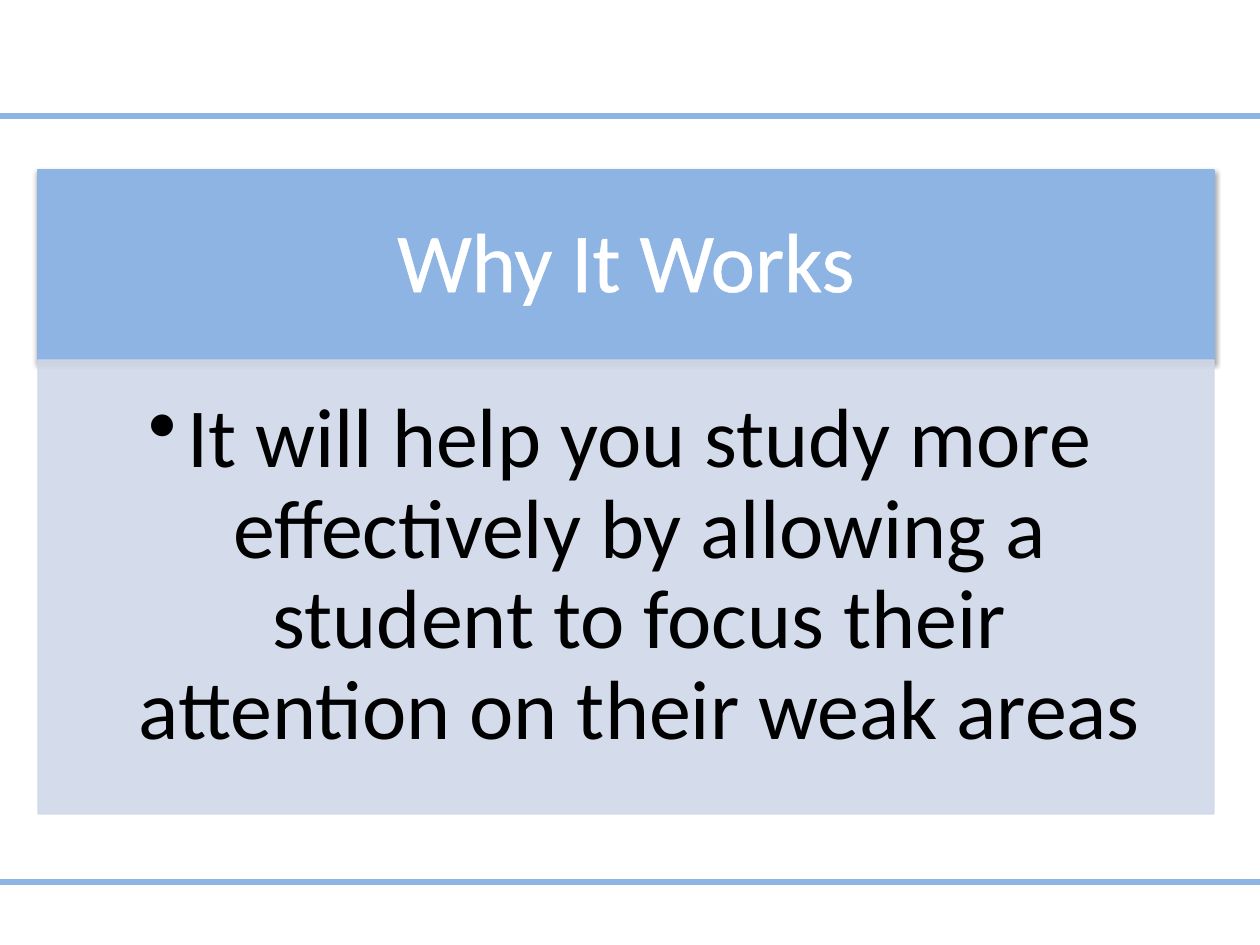
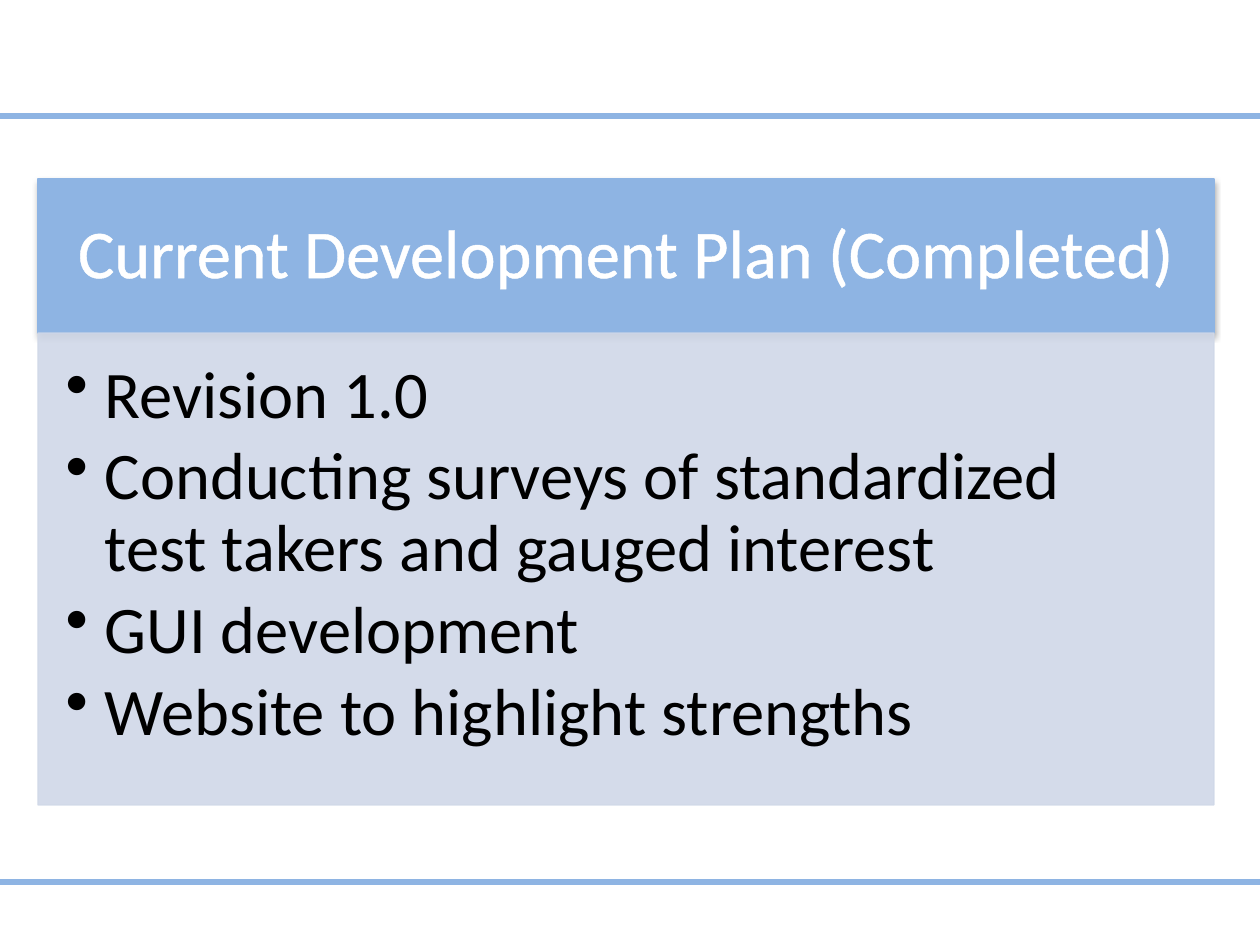
import pptx
import pptx.util
import pptx.dml.color
import pptx.enum.shapes
import pptx.enum.text
import pptx.oxml
import pptx.oxml.ns

SLIDES = [
    {
        "title": "Why It Works",
        "points": ["It will help you study more effectively by allowing a student "
                   "to focus their attention on their weak areas"],
        "align": "CENTER",
        "title_size": 48,
        "point_size": 48,
        "edges": (170, 360, 814),
    },
    {
        "title": "Current Development Plan (Completed)",
        "points": [
            "Revision 1.0",
            "Conducting surveys of standardized test takers and gauged interest",
            "GUI development",
            "Website to highlight strengths",
        ],
        "align": "LEFT",
        "title_size": 39,
        "point_size": 38,
        "edges": (179, 333, 805),
    },
]

SCALE = 914400 // 126
WIDTH, HEIGHT = 1260, 945
PANEL_LEFT, PANEL_WIDTH = 38, 1176
RULE_TOPS = (116, 882)
BULLET_INDENT = 39
FONT = "Calibri"
BLUE, PALE, WHITE, BLACK = "8EB4E3", "D0D8E8", "FFFFFF", "000000"
BODY_OPACITY = 90
TITLE_PADDING = (0.97, 0.55, 0.97, 0.55)
BODY_PADDING = (0.73, 0.73, 0.97, 1.1)

SHADOW = (
    '<a:outerShdw blurRad="40000" dist="23000" dir="5400000" rotWithShape="0">'
    '<a:srgbClr val="000000"><a:alpha val="35000"/></a:srgbClr></a:outerShdw>'
)


def px(length):
    return pptx.util.Emu(round(length * SCALE))


def rgb(value):
    return pptx.dml.color.RGBColor.from_string(value)


def xml(tag, attributes="", content=""):
    namespace = pptx.oxml.ns.nsdecls("a")
    return pptx.oxml.parse_xml(f"<a:{tag} {namespace} {attributes}>{content}</a:{tag}>")


def set_effects(shape, effects=""):
    shape._element.spPr.append(xml("effectLst", content=effects))


def place(shape, top, bottom, color):
    shape.left, shape.top = px(PANEL_LEFT), px(top)
    shape.width, shape.height = px(PANEL_WIDTH), px(bottom - top)
    shape.fill.solid()
    shape.fill.fore_color.rgb = rgb(color)
    shape.line.color.rgb = rgb(color)
    shape.line.width = pptx.util.Pt(0.75)


def prepare_text(shape, size, padding, anchor):
    frame = shape.text_frame
    frame.word_wrap = True
    frame.auto_size = pptx.enum.text.MSO_AUTO_SIZE.NONE
    frame.vertical_anchor = anchor
    frame.margin_left, frame.margin_top, frame.margin_right, frame.margin_bottom = (
        px(factor * size) for factor in padding)
    return frame


def write(paragraph, text, size, color, align):
    paragraph.alignment = align
    paragraph.line_spacing = 0.9
    run = paragraph.add_run()
    run.text = text
    run.font.name = FONT
    run.font.size = pptx.util.Pt(size)
    run.font.color.rgb = rgb(color)
    return run


def add_rules(slide):
    for top in RULE_TOPS:
        rule = slide.shapes.add_connector(
            pptx.enum.shapes.MSO_CONNECTOR.STRAIGHT, 0, px(top), px(WIDTH), px(top))
        rule.line.color.rgb = rgb(BLUE)
        rule.line.width = pptx.util.Pt(3)
        set_effects(rule)


def add_title(slide, content):
    top, split, _ = content["edges"]
    size = content["title_size"]
    title = slide.shapes.title
    place(title, top, split, BLUE)
    set_effects(title, SHADOW)
    frame = prepare_text(title, size, TITLE_PADDING, pptx.enum.text.MSO_ANCHOR.MIDDLE)
    run = write(frame.paragraphs[0], content["title"], size, WHITE,
                pptx.enum.text.PP_ALIGN.CENTER)
    outline = f'<a:solidFill><a:srgbClr val="{WHITE}"/></a:solidFill>'
    run.font._element.insert(0, xml("ln", 'w="9525"', outline))


def add_points(slide, content):
    _, split, bottom = content["edges"]
    size = content["point_size"]
    body = slide.shapes.add_shape(pptx.enum.shapes.MSO_SHAPE.RECTANGLE, 0, 0, 0, 0)
    place(body, split, bottom, PALE)
    body.shadow.inherit = False
    for color in body._element.spPr.iter(pptx.oxml.ns.qn("a:srgbClr")):
        color.append(xml("alpha", f'val="{BODY_OPACITY * 1000}"'))
    frame = prepare_text(body, size, BODY_PADDING, pptx.enum.text.MSO_ANCHOR.TOP)
    align = pptx.enum.text.PP_ALIGN[content["align"]]
    for index, point in enumerate(content["points"]):
        paragraph = frame.add_paragraph() if index else frame.paragraphs[0]
        write(paragraph, point, size, BLACK, align)
        paragraph.level = 1
        paragraph.space_after = pptx.util.Pt(round(0.15 * size, 1))
        properties = paragraph._p.get_or_add_pPr()
        properties.set("marL", str(px(BULLET_INDENT)))
        properties.set("indent", str(-px(BULLET_INDENT)))
        properties.append(xml("buChar", 'char="•"'))


def main():
    deck = pptx.Presentation()
    deck.slide_width, deck.slide_height = px(WIDTH), px(HEIGHT)
    title_only = deck.slide_layouts[5]
    for content in SLIDES:
        slide = deck.slides.add_slide(title_only)
        add_rules(slide)
        add_title(slide, content)
        add_points(slide, content)
    deck.save("out.pptx")


if __name__ == "__main__":
    main()
